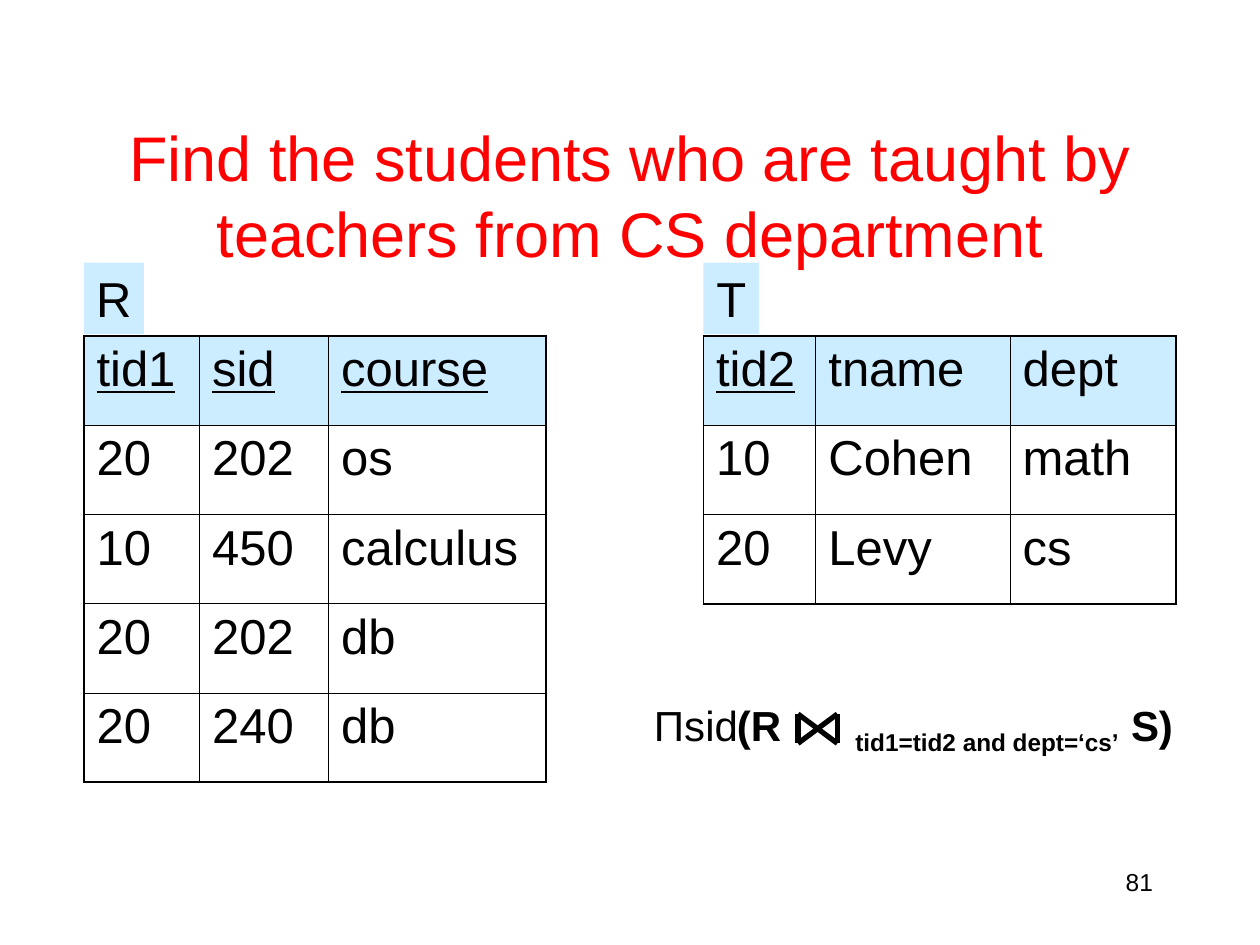
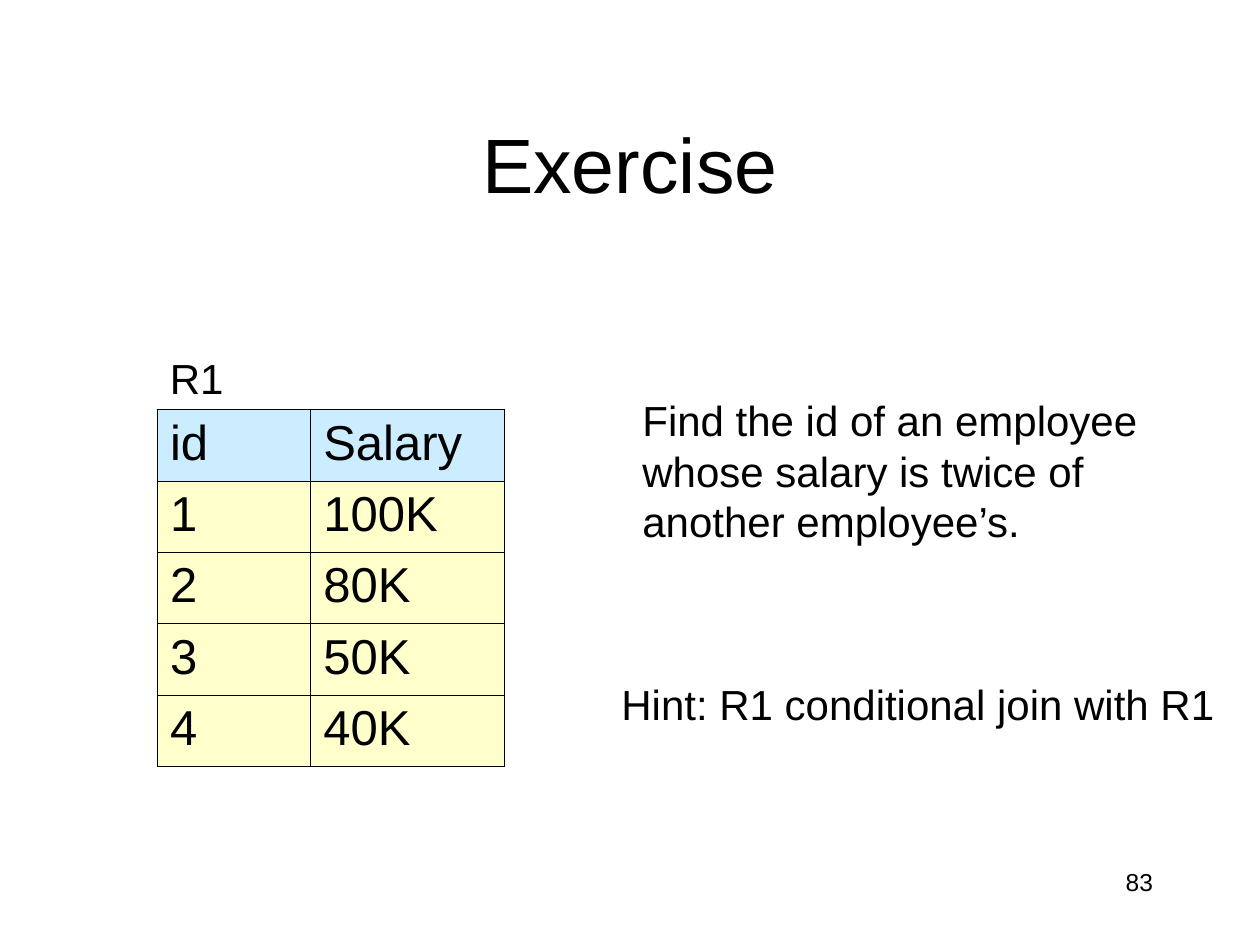
"""Builds two database exercise slides: a conditional join and a self-join task."""
from dataclasses import dataclass

from lxml import etree
from pptx import Presentation
from pptx.dml.color import RGBColor
from pptx.enum.shapes import MSO_CONNECTOR, MSO_SHAPE
from pptx.enum.text import MSO_ANCHOR, MSO_AUTO_SIZE, PP_ALIGN
from pptx.oxml.ns import qn
from pptx.util import Inches, Pt

LEFT, CENTER, RIGHT = PP_ALIGN.LEFT, PP_ALIGN.CENTER, PP_ALIGN.RIGHT
MIDDLE, TOP = MSO_ANCHOR.MIDDLE, MSO_ANCHOR.TOP
FIXED = MSO_AUTO_SIZE.NONE
RECTANGLE, STRAIGHT = MSO_SHAPE.RECTANGLE, MSO_CONNECTOR.STRAIGHT
TITLE_ONLY = 5
COLUMNS, ROWS = 120, 90
UNIT = Inches(10) / COLUMNS


@dataclass(frozen=True)
class Theme:
    """Colours, type sizes and line widths."""
    font: str = "Arial"
    ink: str = "000000"
    question: str = "FF0000"
    head: str = "CCECFF"
    body: str = "FFFFCC"
    cell_size: int = 28
    text_size: int = 24
    number_size: int = 14
    outer: float = 1.08
    inner: float = 0.45
    join: float = 3


THEME = Theme()
NUMBER_BOX = (86, 82, 25, 6)

JOIN_SLIDE = {
    "title": ("Find the students who are taught by teachers from CS department",
              (3, 11, 114, 15), 36, THEME.question),
    "relations": [
        {"at": (8, 32), "widths": (11, 12.3, 20.7), "row": 8.5, "thick": "LRTB",
         "head_alpha": 50, "body": None, "keys": {"tid1", "sid", "course"},
         "rows": [("tid1", "sid", "course"), ("20", "202", "os"),
                  ("10", "450", "calculus"), ("20", "202", "db"), ("20", "240", "db")]},
        {"at": (67, 32), "widths": (10.7, 18.5, 15.8), "row": 8.5, "thick": "LRTB",
         "head_alpha": 50, "body": None, "keys": {"tid2"},
         "rows": [("tid2", "tname", "dept"), ("10", "Cohen", "math"),
                  ("20", "Levy", "cs")]},
    ],
    "labels": [("T", (67, 25, 5.3, 6.8)), ("R", (8, 25, 5.7, 6.8))],
    "formula": [
        ([("(R", {"bold": True}, 0)], (69, 66, 7, 6), True, LEFT),
        ([("tid1=tid2 and dept=‘cs’", {"bold": True}, -25), (" S)", {"bold": True}, 0)],
         (80.3, 66, 32.6, 6.7), False, CENTER),
        ([("Πsid", {}, 0)], (61.1, 66, 10.3, 6), False, LEFT),
    ],
    "bowtie": (76, 68, 3.75, 2.8),
    "number": "81",
}

EXERCISE_SLIDE = {
    "title": ("Exercise", (9, 8, 102, 15), 44, THEME.ink),
    "relations": [
        {"at": (15, 39), "widths": (14.6, 18.4), "row": 6.8, "thick": "LTB",
         "head_alpha": 100, "body": THEME.body, "keys": set(),
         "rows": [("id", "Salary"), ("1", "100K"), ("2", "80K"),
                  ("3", "50K"), ("4", "40K")]},
    ],
    "notes": [
        ("R1", (15, 33, 32, 6)),
        ("Find the id of an employee whose salary is twice of another employee’s.",
         (60, 37, 52, 15.6)),
        ("Hint: R1 conditional join with R1", (58, 64, 59, 6)),
    ],
    "number": "83",
}


def grid(*lengths):
    """Turn grid lengths into slide lengths."""
    return [round(length * UNIT) for length in lengths]


def apply(target, formats):
    """Set each format value on the target."""
    for name, value in formats.items():
        setattr(target, name, value)


def write(frame, runs, size, color=THEME.ink, align=LEFT, **frame_formats):
    """Write formatted runs as the only paragraph of a frame."""
    apply(frame, {"word_wrap": True, "vertical_anchor": TOP,
                  "auto_size": FIXED} | frame_formats)
    paragraph = frame.paragraphs[0]
    paragraph.alignment = align
    for words, formats, baseline in runs:
        run = paragraph.add_run()
        run.text = words
        apply(run.font, {"name": THEME.font, "size": Pt(size)} | formats)
        run.font.color.rgb = RGBColor.from_string(color)
        if baseline:
            run.font._element.set("baseline", str(baseline * 1000))


def add_text(shapes, runs, box, size=THEME.text_size, align=LEFT, wrap=True):
    """Add a text box on the grid."""
    frame = shapes.add_textbox(*grid(*box)).text_frame
    write(frame, runs, size, align=align, word_wrap=wrap)


def paint(part, color, alpha=100):
    """Fill a cell or shape, see-through where alpha is under 100."""
    if color is None:
        part.fill.background()
        return
    part.fill.solid()
    part.fill.fore_color.rgb = RGBColor.from_string(color)
    if alpha < 100:
        tone = next(part._tc.tcPr.iter(qn("a:srgbClr")))
        etree.SubElement(tone, qn("a:alpha"), val=str(alpha * 1000))


def border(cell, thick_sides):
    """Draw the four borders of a cell, thick on the named sides."""
    properties = cell._tc.get_or_add_tcPr()
    for side in "LRTB":
        width = THEME.outer if side in thick_sides else THEME.inner
        line = etree.SubElement(properties, qn("a:ln" + side), w=str(Pt(width)))
        fill = etree.SubElement(line, qn("a:solidFill"))
        etree.SubElement(fill, qn("a:srgbClr"), val=THEME.ink)


def add_relation(slide, relation):
    """Add a relation as a table."""
    rows, widths = relation["rows"], relation["widths"]
    size = (sum(widths), relation["row"] * len(rows))
    table = slide.shapes.add_table(len(rows), len(widths),
                                   *grid(*relation["at"], *size)).table
    apply(table, {"first_row": False, "horz_banding": False})
    for column, width in zip(table.columns, grid(*widths)):
        column.width = width
    for r, values in enumerate(rows):
        table.rows[r].height = grid(relation["row"])[0]
        for c, value in enumerate(values):
            cell = table.cell(r, c)
            edges = {"L": c == 0, "R": c == len(widths) - 1,
                     "T": r == 0, "B": r == len(rows) - 1}
            border(cell, [side for side in relation["thick"] if edges[side]])
            if r == 0:
                paint(cell, THEME.head, relation["head_alpha"])
            else:
                paint(cell, relation["body"])
            underline = {"underline": r == 0 and value in relation["keys"]}
            write(cell.text_frame, [(value, underline, 0)], THEME.cell_size)


def add_label(slide, name, box):
    """Add the coloured name tag of a relation."""
    label = slide.shapes.add_shape(RECTANGLE, *grid(*box))
    label.shadow.inherit = False
    label.line.fill.background()
    paint(label, THEME.head)
    write(label.text_frame, [(name, {}, 0)], THEME.cell_size, align=CENTER,
          word_wrap=False)


def add_bowtie(shapes, box):
    """Draw the join sign as two uprights and two diagonals."""
    left, top, width, height = box
    right, bottom = left + width, top + height
    for start, end in [(left, left), (right, right), (left, right), (right, left)]:
        stroke = shapes.add_connector(STRAIGHT, *grid(start, top, end, bottom))
        stroke.line.width = Pt(THEME.join)
        stroke.line.color.rgb = RGBColor.from_string(THEME.ink)
        etree.SubElement(stroke._element.spPr, qn("a:effectLst"))


def add_slide(deck, content):
    """Add a slide with its title, relations, notes and number."""
    slide = deck.slides.add_slide(deck.slide_layouts[TITLE_ONLY])
    heading, box, size, color = content["title"]
    title = slide.shapes.title
    apply(title, dict(zip(("left", "top", "width", "height"), grid(*box))))
    write(title.text_frame, [(heading, {}, 0)], size, color, CENTER,
          vertical_anchor=MIDDLE)
    for relation in content["relations"]:
        add_relation(slide, relation)
    for name, box in content.get("labels", []):
        add_label(slide, name, box)
    if "formula" in content:
        formula = slide.shapes.add_group_shape().shapes
        for runs, box, wrap, align in content["formula"]:
            add_text(formula, runs, box, align=align, wrap=wrap)
        add_bowtie(formula, content["bowtie"])
    for words, box in content.get("notes", []):
        add_text(slide.shapes, [(words, {}, 0)], box)
    add_text(slide.shapes, [(content["number"], {}, 0)], NUMBER_BOX,
             THEME.number_size, RIGHT)


def main():
    """Build and save the deck."""
    deck = Presentation()
    deck.slide_width, deck.slide_height = grid(COLUMNS, ROWS)
    for content in (JOIN_SLIDE, EXERCISE_SLIDE):
        add_slide(deck, content)
    deck.save("out.pptx")


if __name__ == "__main__":
    main()
